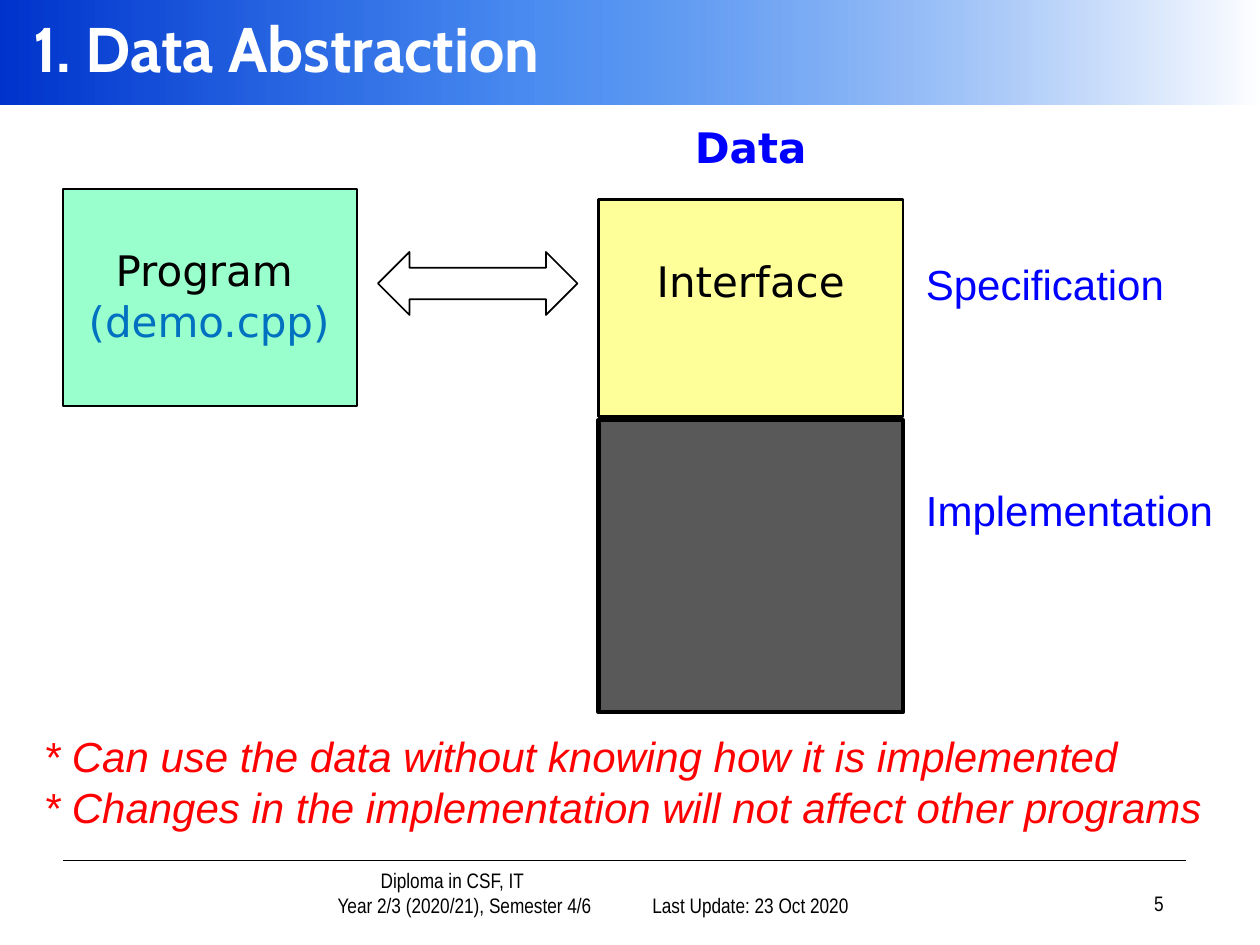
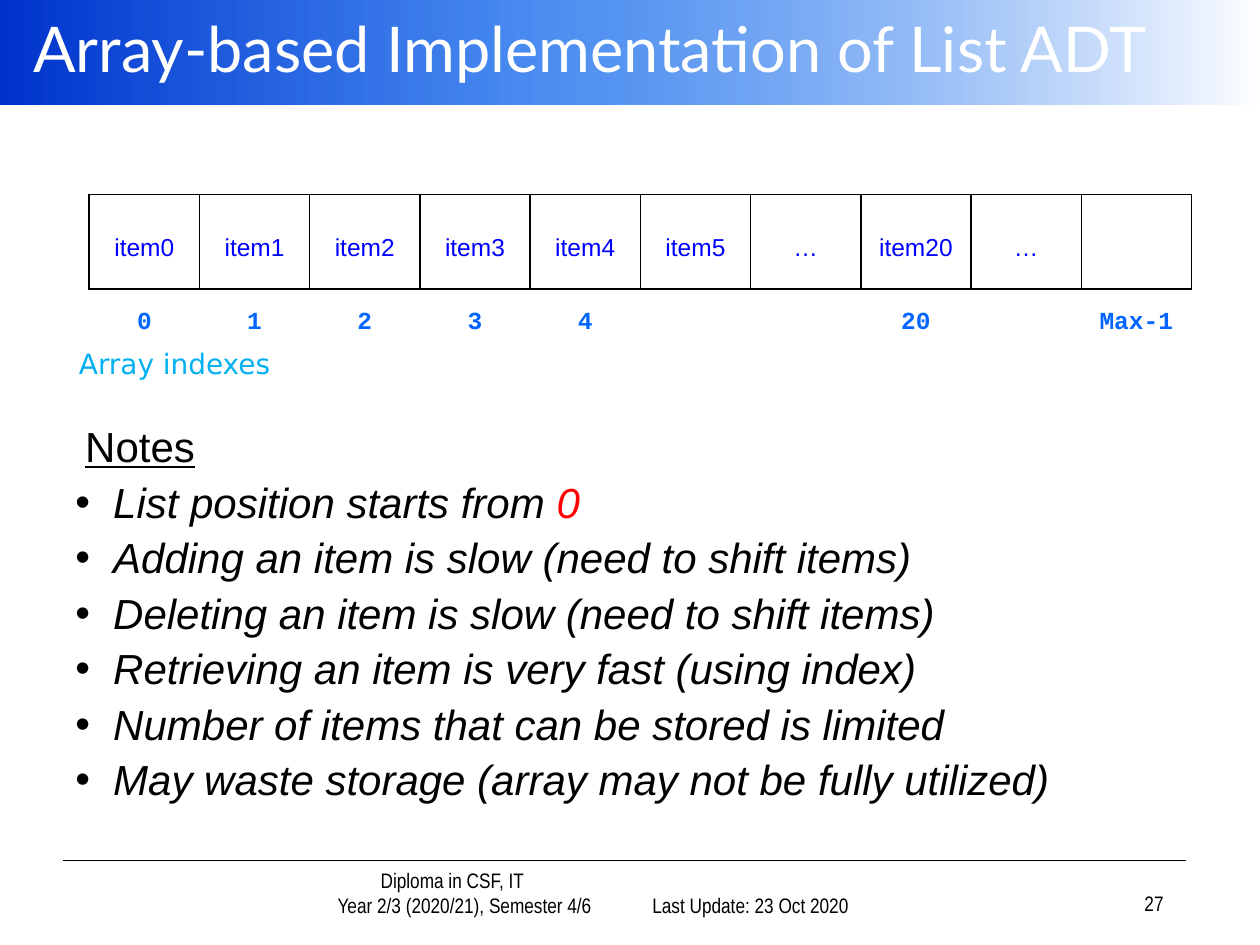
from dataclasses import dataclass, replace

from lxml.etree import SubElement
from pptx import Presentation
from pptx.dml.color import RGBColor
from pptx.enum.shapes import MSO_CONNECTOR as Connector, MSO_SHAPE as Shape
from pptx.enum.text import MSO_ANCHOR as Anchor, PP_ALIGN as Align
from pptx.oxml.ns import qn
from pptx.util import Pt

COLOURS = {
    "black": "000000", "white": "FFFFFF", "red": "FF0000", "blue": "0000FF",
    "index blue": "0066FF", "file blue": "0070C0", "sky": "00B0F0",
    "mint": "99FFCC", "yellow": "FFFF99", "grey": "595959",
    "band start": "0033CC", "band middle": "005EEB",
}
PLAIN_TABLE_STYLE = "{2D5ABB26-0587-4C30-8999-92F81FD0307C}"


@dataclass(frozen=True)
class Style:
    font: str
    size: float
    colour: str = "black"
    bold: bool = False
    italic: bool = False
    underline: bool = False


FOOTER = Style("Arial Narrow", 12)
TITLE = Style("Cabin", 36, "white", bold=True)
BOX_TEXT = Style("DejaVu Sans", 24)
LABEL = Style("Arial", 24, "blue")
REMARK = Style("Arial", 24, "red", italic=True)
NOTE = Style("Arial", 24, italic=True)
ITEM = Style("Arial", 14, "blue")
INDEX = Style("Courier New", 14, "index blue", bold=True)


def rgb(name):
    return RGBColor.from_string(COLOURS[name])


# Text helpers
def add_run(paragraph, text, style):
    run = paragraph.add_run()
    run.text = text
    font = run.font
    font.name, font.size = style.font, Pt(style.size)
    font.bold, font.italic, font.underline = style.bold, style.italic, style.underline
    font.color.rgb = rgb(style.colour)


def add_paragraph(frame, runs, align=Align.LEFT, margin=0, hanging=0,
                  before=0, spacing=None, bullet=None):
    """Fill the first paragraph if it is still empty, else append one."""
    first = frame.paragraphs[0]
    paragraph = frame.add_paragraph() if first.runs else first
    paragraph.alignment = align
    paragraph.space_before = Pt(before)
    if spacing:
        paragraph.line_spacing = spacing
    properties = paragraph._p.get_or_add_pPr()
    properties.set("marL", str(Pt(margin)))
    properties.set("indent", str(Pt(-hanging)))
    if bullet:
        SubElement(properties, qn("a:buFont")).set("typeface", "Arial")
        SubElement(properties, qn("a:buChar")).set("char", bullet)
    for text, style in runs:
        add_run(paragraph, text, style)


def add_text_box(slide, box, anchor=Anchor.TOP):
    frame = slide.shapes.add_textbox(*map(Pt, box)).text_frame
    frame.word_wrap = True
    frame.vertical_anchor = anchor
    return frame


def add_label(slide, box, text, style, align=Align.LEFT, anchor=Anchor.TOP):
    add_paragraph(add_text_box(slide, box, anchor), [(text, style)], align)


# Shape helper
def add_box(slide, kind, box, fill=None, line=None):
    shape = slide.shapes.add_shape(kind, *map(Pt, box))
    shape.shadow.inherit = False
    if fill:
        shape.fill.solid()
        shape.fill.fore_color.rgb = rgb(fill)
    else:
        shape.fill.background()
    if line:
        shape.line.color.rgb = rgb("black")
        shape.line.width = Pt(line)
    else:
        shape.line.fill.background()
    frame = shape.text_frame
    frame.vertical_anchor = Anchor.TOP
    frame.margin_top = Pt(32)
    return shape


# Parts shared by all slides
def add_title_band(slide, box, title, style):
    left, top, width, height = box
    band = add_box(slide, Shape.RECTANGLE, box)
    band.fill.gradient()
    band.fill.gradient_angle = 0
    stops = band._element.spPr.find(qn("a:gradFill")).find(qn("a:gsLst"))
    for stop in list(stops):
        stops.remove(stop)
    for position, colour, alpha in ((0, "band start", 100), (43, "band middle", 70),
                                    (100, "white", 100)):
        stop = SubElement(stops, qn("a:gs"), pos=str(position * 1000))
        tone = SubElement(stop, qn("a:srgbClr"), val=COLOURS[colour])
        if alpha < 100:
            SubElement(tone, qn("a:alpha"), val=str(alpha * 1000))
    add_label(slide, (left + 12, top, width - 12, height - 6), title, style,
              anchor=Anchor.MIDDLE)


def add_footer(slide, box, number):
    left, top, width, height = box
    rule = slide.shapes.add_connector(Connector.STRAIGHT, Pt(left), Pt(top),
                                      Pt(left + width), Pt(top))
    rule.line.color.rgb = rgb("black")
    rule.line.width = Pt(1)
    SubElement(rule._element.spPr, qn("a:effectLst"))

    course = add_text_box(slide, (left + 85, top + 6.5, 239, height), Anchor.BOTTOM)
    add_paragraph(course, [("Diploma in CSF, IT", FOOTER)], Align.CENTER, margin=36)
    add_paragraph(course, [("Year 2/3 (2020/21), Semester 4/6", FOOTER)],
                  Align.CENTER, margin=50)
    add_label(slide, (left + 306, top + 6.5, 150, height), "Last Update: 23 Oct 2020",
              FOOTER, Align.RIGHT, Anchor.BOTTOM)
    add_label(slide, (left + 486, top + 5, 150, height), str(number),
              FOOTER, Align.RIGHT, Anchor.BOTTOM)


def add_slide(presentation, title, title_style, number):
    slide = presentation.slides.add_slide(presentation.slide_layouts[6])
    add_title_band(slide, (0, 0, 720, 60), title, title_style)
    add_footer(slide, (36, 491.7, 642, 30), number)
    return slide


# Slide 1: program, interface and implementation
def add_program(slide, box):
    left, top, width, _ = box
    frame = add_box(slide, Shape.RECTANGLE, box, "mint", 0.75).text_frame
    add_paragraph(frame, [("Program", BOX_TEXT)], margin=23)
    add_paragraph(frame, [("(demo.cpp)", replace(BOX_TEXT, colour="file blue"))],
                  margin=7.6)
    add_box(slide, Shape.LEFT_RIGHT_ARROW, (left + width + 12, top + 36, 114, 36), line=1)


def add_data(slide, box):
    left, top, width, _ = box
    labels = left + width + 6
    add_label(slide, (left, top, width, 36), "Data",
              replace(BOX_TEXT, colour="blue", bold=True), Align.CENTER)
    interface = add_box(slide, Shape.RECTANGLE, (left, top + 48, width, 124), "yellow", 1.5)
    add_paragraph(interface.text_frame, [("Interface", BOX_TEXT)], Align.CENTER)
    add_box(slide, Shape.RECTANGLE, (left, top + 174, width, 167), "grey", 2.5)
    add_label(slide, (labels, top + 78, 174, 60), "Specification", LABEL)
    add_label(slide, (labels, top + 207.5, 192, 60), "Implementation", LABEL)


def add_remarks(slide, box):
    frame = add_text_box(slide, box)
    for remark in ("* Can use the data without knowing how it is implemented",
                   "* Changes in the implementation will not affect other programs"):
        add_paragraph(frame, [(remark, REMARK)], margin=21.6, hanging=21.6)


def build_abstraction(presentation):
    slide = add_slide(presentation, "1. Data Abstraction", TITLE, 5)
    add_program(slide, (36, 108, 168, 124))
    add_data(slide, (342, 66, 174, 341))
    add_remarks(slide, (18, 414, 684, 80))


# Slide 2: array table and notes
def set_borders(cell, visible):
    properties = cell._tc.get_or_add_tcPr()
    for position, side in enumerate("LRTB"):
        border = properties.makeelement(qn(f"a:ln{side}"), {"w": str(Pt(1))})
        if side in visible:
            fill = SubElement(border, qn("a:solidFill"))
            SubElement(fill, qn("a:srgbClr"), val=COLOURS["black"])
        else:
            SubElement(border, qn("a:noFill"))
        properties.insert(position, border)


def add_array(slide, box):
    items = ["item0", "item1", "item2", "item3", "item4", "item5", "…", "item20", "…", ""]
    indexes = ["0", "1", "2", "3", "4", "", "", "20", "", "Max-1"]
    rows = ((items, ITEM, Anchor.MIDDLE, "LRTB"), (indexes, INDEX, Anchor.TOP, "T"))
    left, top, width, height = box

    frame = slide.shapes.add_table(len(rows), len(items), *map(Pt, box))
    table = frame.table
    table.first_row = table.horz_banding = False
    table._tbl.tblPr.find(qn("a:tableStyleId")).text = PLAIN_TABLE_STYLE
    for column in table.columns:
        column.width = Pt(width / len(items))
    for row, (texts, style, anchor, borders) in enumerate(rows):
        table.rows[row].height = Pt(height / len(rows))
        for column, text in enumerate(texts):
            cell = table.cell(row, column)
            cell.fill.background()
            cell.vertical_anchor = anchor
            set_borders(cell, borders)
            if text:
                add_paragraph(cell.text_frame, [(text, style)], Align.CENTER, spacing=1.5)
    add_label(slide, (left - 13, top + 83.5, 162, 27), "Array indexes",
              Style("DejaVu Sans", 16, "sky"))


def add_notes(slide, box):
    notes = [
        [("List position starts from ", NOTE), ("0", replace(NOTE, colour="red"))],
        [("Adding an item is slow (need to shift items)", NOTE)],
        [("Deleting an item is slow (need to shift items)", NOTE)],
        [("Retrieving an item is very fast (using index)", NOTE)],
        [("Number of items that can be stored is limited", NOTE)],
        [("May waste storage (array may not be fully utilized)", NOTE)],
    ]
    frame = add_text_box(slide, box)
    add_paragraph(frame, [("Notes", replace(NOTE, italic=False, underline=True))],
                  margin=5.6, spacing=0.9)
    for runs in notes:
        add_paragraph(frame, runs, margin=21.6, hanging=21.6, before=5.8,
                      spacing=0.9, bullet="•")


def build_array_list(presentation):
    slide = add_slide(presentation, "Array-based Implementation of List ADT",
                      replace(TITLE, font="Lato", bold=False), 27)
    add_notes(slide, (36, 240, 660, 228))
    add_array(slide, (51, 111, 630, 108))


def main():
    presentation = Presentation()
    presentation.slide_width, presentation.slide_height = Pt(720), Pt(540)
    build_abstraction(presentation)
    build_array_list(presentation)
    presentation.save("out.pptx")


if __name__ == "__main__":
    main()
